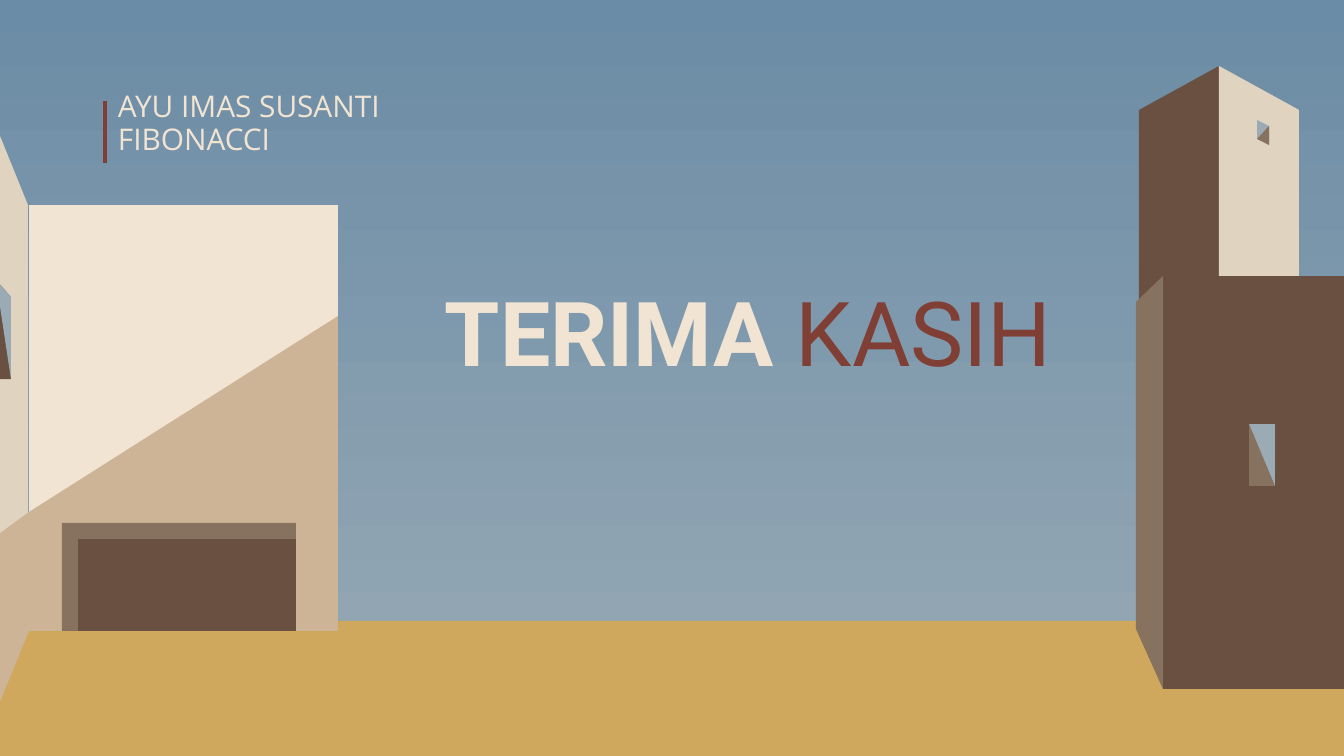
from typing import NamedTuple

from lxml import etree
from pptx import Presentation
from pptx.dml.color import RGBColor
from pptx.enum.shapes import MSO_CONNECTOR, MSO_SHAPE
from pptx.enum.text import MSO_ANCHOR, PP_ALIGN
from pptx.oxml.ns import qn
from pptx.util import Pt

SCALE = 914400 / 134.4
RECT = MSO_SHAPE.RECTANGLE
STRAIGHT = MSO_CONNECTOR.STRAIGHT
TOP, MIDDLE = MSO_ANCHOR.TOP, MSO_ANCHOR.MIDDLE
LEFT, CENTER = PP_ALIGN.LEFT, PP_ALIGN.CENTER

SKY = RGBColor(0x6B, 0x8C, 0xA6)
HAZE = RGBColor(0x9A, 0xAB, 0xB6)
SAND = RGBColor(0xCF, 0xA7, 0x5D)
CREAM = RGBColor(0xF2, 0xE4, 0xD3)
STONE = RGBColor(0xE0, 0xD4, 0xC1)
TAN = RGBColor(0xCE, 0xB4, 0x97)
TAUPE = RGBColor(0x87, 0x72, 0x5F)
BROWN = RGBColor(0x69, 0x50, 0x40)
RUST = RGBColor(0x80, 0x3F, 0x35)

Point = tuple[int, int]


class Face(NamedTuple):
    color: RGBColor
    points: list[Point]


class Span(NamedTuple):
    text: str
    color: RGBColor
    bold: bool = False


class Label(NamedTuple):
    box: tuple[int, int, int, int]
    font: str
    size: int
    align: PP_ALIGN
    anchor: MSO_ANCHOR
    spacing: float
    lines: list[list[Span]]


def px(value: int) -> int:
    return round(value * SCALE)


def box(left: int, top: int, right: int, bottom: int) -> list[Point]:
    return [(left, top), (left, bottom), (right, bottom), (right, top)]


def apply(target, values: dict) -> None:
    for name, value in values.items():
        setattr(target, name, value)


def paint(shape, color: RGBColor) -> None:
    shape.shadow.inherit = False
    shape.fill.solid()
    shape.fill.fore_color.rgb = color
    shape.line.fill.background()


def draw_face(shapes, face: Face) -> None:
    first, *rest = face.points
    pen = shapes.build_freeform(*first, scale=SCALE)
    pen.add_line_segments(rest, close=True)
    paint(pen.convert_to_shape(), face.color)


def draw_label(shapes, label: Label) -> None:
    frame = shapes.add_textbox(*map(px, label.box)).text_frame
    sides = ("left", "top", "right", "bottom")
    apply(frame, {f"margin_{side}": px(13) for side in sides})
    apply(frame, {"word_wrap": True, "vertical_anchor": label.anchor})
    for index, line in enumerate(label.lines):
        para = frame.add_paragraph() if index else frame.paragraphs[0]
        apply(para, {"alignment": label.align, "line_spacing": label.spacing})
        for span in line:
            run = para.add_run()
            run.text = span.text
            apply(run.font, {"name": label.font, "size": Pt(label.size), "bold": span.bold})
            run.font.color.rgb = span.color


def draw_rule(shapes, start: Point, end: Point) -> None:
    rule = shapes.add_connector(STRAIGHT, *map(px, start + end))
    rule.line.color.rgb = RUST
    rule.line.width = Pt(2.25)
    etree.SubElement(rule.element.spPr, qn("a:effectLst"))


TOWER = [
    Face(BROWN, [(1219, 66), (1139, 110), (1139, 352), (1219, 307)]),
    Face(STONE, [(1219, 66), (1219, 357), (1299, 402), (1299, 110)]),
    Face(HAZE, [(1257, 120), (1257, 139), (1269, 145), (1269, 126)]),
    Face(TAUPE, [(1269, 126), (1257, 139), (1269, 145)]),
    Face(BROWN, box(1163, 276, 1352, 689)),
    Face(TAUPE, [(1163, 276), (1136, 302), (1136, 629), (1163, 689)]),
    Face(HAZE, box(1249, 424, 1275, 486)),
    Face(TAUPE, [(1249, 424), (1249, 486), (1275, 486)]),
]
HOUSE = [
    Face(STONE, [(-23, 79), (-23, 758), (28, 631), (28, 205)]),
    Face(CREAM, box(29, 205, 338, 631)),
    Face(TAN, [(29, 512), (-23, 550), (-23, 758), (29, 631)]),
    Face(TAN, [(338, 316), (29, 512), (29, 631), (338, 631)]),
    Face(BROWN, box(62, 523, 296, 631)),
    Face(TAUPE, [(62, 523), (62, 631), (78, 631), (78, 539), (296, 539), (296, 523)]),
    Face(BROWN, box(-4, 280, 11, 379)[:3] + [(11, 297)]),
    Face(HAZE, [(-4, 280), (11, 379), (11, 297)]),
]
LABELS = [
    Label((335, 239, 827, 183), "Roboto", 48, CENTER, MIDDLE, 1.0,
          [[Span("TERIMA ", CREAM, True), Span("KASIH", RUST)]]),
    Label((105, 79, 395, 95), "Open Sans", 16, LEFT, TOP, 0.9,
          [[Span("AYU IMAS SUSANTI", CREAM)], [Span("FIBONACCI", CREAM)]]),
]

deck = Presentation()
apply(deck, {"slide_width": px(1344), "slide_height": px(756)})
slide = deck.slides.add_slide(deck.slide_layouts[6])
shapes = slide.shapes

sky = slide.background.fill
sky.gradient()
sky.gradient_angle = 270
for stop, color, place in zip(sky.gradient_stops, (SKY, HAZE), (0, 1)):
    stop.color.rgb = color
    stop.position = place

ground = shapes.add_shape(RECT, *map(px, (-8, 621, 1360, 141)))
paint(ground, SAND)
for label in LABELS:
    draw_label(shapes, label)
for face in TOWER + HOUSE:
    draw_face(shapes, face)
draw_rule(shapes, (105, 101), (105, 163))

deck.save("out.pptx")
